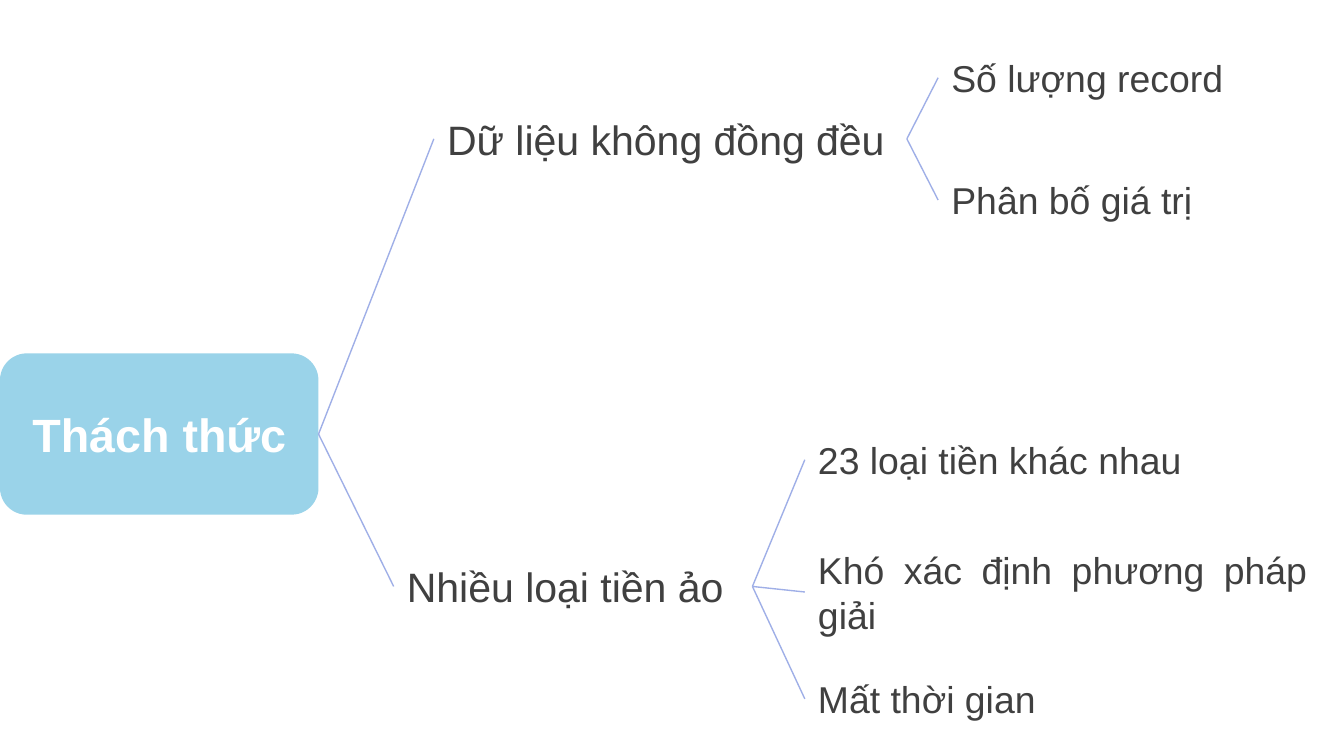
from lxml import etree
from pptx import Presentation
from pptx.dml.color import RGBColor
from pptx.enum.shapes import MSO_CONNECTOR, MSO_SHAPE
from pptx.enum.text import MSO_ANCHOR, PP_ALIGN
from pptx.oxml.ns import qn
from pptx.util import Cm, Pt

ROUND = MSO_SHAPE.ROUNDED_RECTANGLE
LINE = MSO_CONNECTOR.STRAIGHT
MIDDLE = MSO_ANCHOR.MIDDLE
CENTER, JUSTIFY = PP_ALIGN.CENTER, PP_ALIGN.JUSTIFY
LEFT_SIDE, RIGHT_SIDE = 1, 3

COLORS = {"root": "9AD3E9", "line": "9FAFE7", "text": "404040", "white": "FFFFFF"}


def color(name):
    return RGBColor.from_string(COLORS[name])


def write(shape, text, size, ink="text", align=JUSTIFY, bold=False):
    frame = shape.text_frame
    frame.word_wrap = True
    frame.vertical_anchor = MIDDLE
    para = frame.paragraphs[0]
    para.text = text
    para.alignment = align
    font = para.font
    font.name, font.size, font.bold = "Arial", Pt(size), bold
    font.color.rgb = color(ink)


def label(slide, box, text, size):
    shape = slide.shapes.add_textbox(*map(Cm, box))
    write(shape, text, size)
    return shape


def link(slide, start, end):
    line = slide.shapes.add_connector(LINE, 0, 0, 0, 0)
    line.begin_connect(start, RIGHT_SIDE)
    line.end_connect(end, LEFT_SIDE)
    line.line.color.rgb = color("line")
    line.line.width = Pt(0.75)
    etree.SubElement(line._element.spPr, qn("a:effectLst"))


def add_root(slide, box, text):
    shape = slide.shapes.add_shape(ROUND, *map(Cm, box))
    shape.shadow.inherit = False
    shape.fill.solid()
    shape.fill.fore_color.rgb = color("root")
    shape.line.fill.background()
    write(shape, text, 25, "white", CENTER, True)
    return shape


def add_branch(slide, root, box, topic, leaves):
    """Topic is (text, drop, width); each leaf is (text, drop, width, height)."""
    left, top, width = box
    text, drop, wide = topic
    node = label(slide, (left, top + drop, wide, 1.19), text, 22)
    link(slide, root, node)
    gap = width - max(leaf[2] for leaf in leaves)
    for text, drop, wide, high in leaves:
        leaf = label(slide, (left + gap, top + drop, wide, high), text, 20)
        link(slide, node, leaf)


def main():
    deck = Presentation()
    deck.slide_width, deck.slide_height = Cm(25.4), Cm(14.29)
    slide = deck.slides.add_slide(deck.slide_layouts[6])

    # Root of the tree
    root = add_root(slide, (0, 6.68, 6.02, 3.05), "Thách thức")

    # Upper branch: uneven data
    add_branch(slide, root, (8.2, 0.91, 17.13),
               ("Dữ liệu không đồng đều", 1.12, 8.94),
               [("Số lượng record", 0, 6.35, 1.12),
                ("Phân bố giá trị", 2.31, 7.6, 1.12)])

    # Lower branch: many coins
    add_branch(slide, root, (7.44, 8.13, 17.52),
               ("Nhiều loại tiền ảo", 2.36, 6.78),
               [("23 loại tiền khác nhau", 0, 8.26, 1.12),
                ("Khó xác định phương pháp giải", 2.08, 9.75, 1.96),
                ("Mất thời gian", 4.52, 8.26, 1.12)])

    deck.save("out.pptx")


if __name__ == "__main__":
    main()
